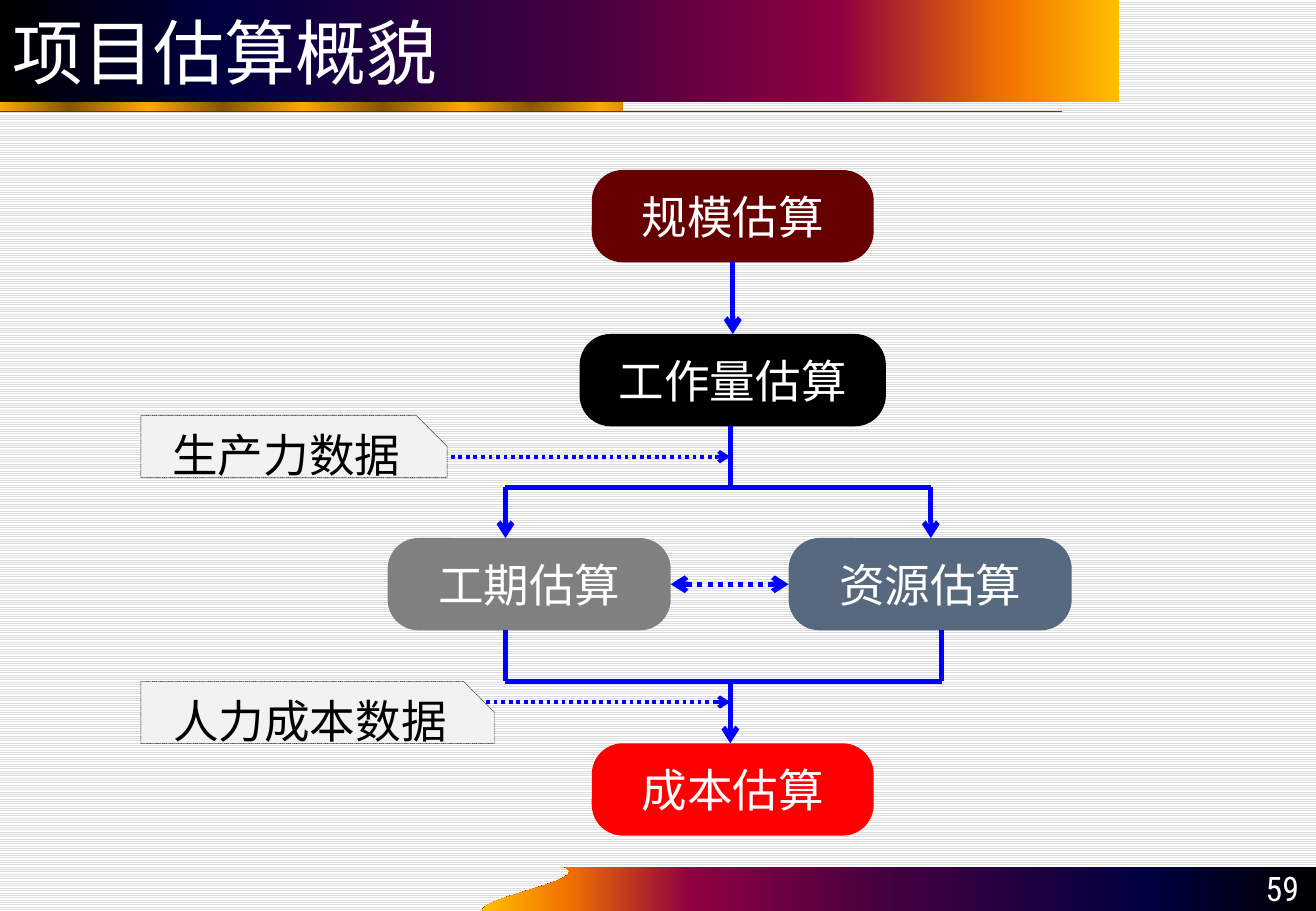
"""Builds the project estimation overview slide."""
from copy import deepcopy

from lxml import etree
from pptx import Presentation
from pptx.dml.color import RGBColor
from pptx.enum.dml import MSO_LINE, MSO_PATTERN
from pptx.enum.shapes import MSO_CONNECTOR, MSO_SHAPE
from pptx.enum.text import MSO_ANCHOR, MSO_AUTO_SIZE, PP_ALIGN
from pptx.oxml.ns import qn
from pptx.util import Inches, Pt

WHITE = RGBColor(0xFF, 0xFF, 0xFF)
BLACK = RGBColor(0, 0, 0)
STRIPE_GRAY = RGBColor(0xDD, 0xDD, 0xDD)
NOTE_GRAY = RGBColor(0xF2, 0xF2, 0xF2)
BLUE = RGBColor(0, 0, 0xFF)
RULE_RED = RGBColor(0xCC, 0, 0)
RED = RGBColor(0xFF, 0, 0)
MAROON = RGBColor(0x66, 0, 0)
GRAY = RGBColor(0x80, 0x80, 0x80)
SLATE = RGBColor(0x57, 0x69, 0x7E)
NAVY = RGBColor(0, 0, 0x40)
PLUM = RGBColor(0x40, 0, 0x40)
CRIMSON = RGBColor(0x8F, 0, 0x40)
ORANGE = RGBColor(0xF2, 0x73, 0)
AMBER = RGBColor(0xFF, 0xBF, 0)
GOLD = RGBColor(0xFF, 0xA8, 0)
BROWN = RGBColor(0x82, 0x56, 0)

SUNSET = [(0, BLACK), (20, NAVY), (50, PLUM), (75, CRIMSON), (90, ORANGE), (100, AMBER)]
BRONZE = [(pos, GOLD if i % 2 else BROWN)
          for i, pos in enumerate((0, 13, 28, 43, 58, 72, 87, 100))]
CJK = "Noto Sans CJK SC"
SOLID, DOTTED = None, MSO_LINE.ROUND_DOT
LEFT, CENTER, RIGHT = PP_ALIGN.LEFT, PP_ALIGN.CENTER, PP_ALIGN.RIGHT
MIDDLE, BOTTOM = MSO_ANCHOR.MIDDLE, MSO_ANCHOR.BOTTOM
ROUNDED, SNIPPED = MSO_SHAPE.ROUNDED_RECTANGLE, MSO_SHAPE.SNIP_1_RECTANGLE
STRAIGHT = MSO_CONNECTOR.STRAIGHT


def set_gradient(sp, stops, angle):
    sp.fill.gradient()
    sp.fill.gradient_angle = angle
    gs_lst = sp._element.spPr.find(".//" + qn("a:gsLst"))
    for gs in list(gs_lst):
        gs_lst.remove(gs)
    for pos, color in stops:
        gs = etree.SubElement(gs_lst, qn("a:gs"), pos=str(pos * 1000))
        etree.SubElement(gs, qn("a:srgbClr"), val=str(color))


def set_text(sp, text, size, font, color, align, anchor):
    tf = sp.text_frame
    tf.word_wrap = True
    tf.auto_size = MSO_AUTO_SIZE.NONE
    tf.vertical_anchor = anchor
    p = tf.paragraphs[0]
    p.alignment = align
    r = p.add_run()
    r.text = text
    for name, value in {"size": Pt(size), "name": font}.items():
        setattr(r.font, name, value)
    r.font.color.rgb = color
    etree.SubElement(r._r.get_or_add_rPr(), qn("a:ea"), typeface=font)


prs = Presentation()
prs.slide_width, prs.slide_height = Inches(10.83), Inches(7.5)
s = prs.slides.add_slide(prs.slide_layouts[5])
bg = s.background.fill
bg.patterned()
bg.pattern = MSO_PATTERN.LIGHT_HORIZONTAL
bg.fore_color.rgb = STRIPE_GRAY
bg.back_color.rgb = WHITE

title = s.shapes.title
title.left, title.top, title.width, title.height = 0, 0, Inches(9.21), Inches(0.84)
set_gradient(title, SUNSET, 0)
set_text(title, "项目估算概貌", 42, "DejaVu Sans", WHITE, LEFT, MIDDLE)

curve = [(3.97, 7.5), (3.97, 7.38), (4.87, 7.25), (4.65, 7.14)]
steps = 24
outline = [(10.83, 7.14), (10.83, 7.5)]
for i in range(steps + 1):
    t = i / steps
    weights = [(1 - t) ** 3, 3 * t * (1 - t) ** 2, 3 * t ** 2 * (1 - t), t ** 3]
    outline.append(tuple(sum(w * pt[axis] for w, pt in zip(weights, curve)) for axis in (0, 1)))
builder = s.shapes.build_freeform(Inches(4.65), Inches(7.14), scale=1.0)
builder.add_line_segments([(Inches(x), Inches(y)) for x, y in outline], close=True)
footer = builder.convert_to_shape()
set_gradient(footer, SUNSET, 180)
footer.line.fill.background()

rule_y = Inches(0.92)
builder = s.shapes.build_freeform(0, rule_y, scale=1.0)
builder.add_line_segments([(Inches(x), Inches(y)) for x, y in
                           [(5.12, 0.92), (5.12, 0.76), (0, 0.76)]], close=True)
builder.move_to(0, rule_y)
builder.add_line_segments([(Inches(8.74), rule_y)], close=False)
stripe = builder.convert_to_shape()
set_gradient(stripe, BRONZE, 0)
stripe.line.color.rgb = RULE_RED
stripe.line.width = Pt(0.75)

band = stripe._element.spPr.find(".//" + qn("a:path"))
rule = deepcopy(band)
band.addnext(rule)
band.set("stroke", "0")
rule.set("fill", "none")
band_parts = 5
for part in list(band)[band_parts:]:
    band.remove(part)
for part in list(rule)[:band_parts]:
    rule.remove(part)

lin = stripe._element.spPr.find(".//" + qn("a:lin"))
radial = etree.Element(qn("a:path"), path="circle")
etree.SubElement(radial, qn("a:fillToRect"), l="50000", t="50000", r="50000", b="50000")
lin.getparent().replace(lin, radial)

for sp in (footer, stripe):
    sp.shadow.inherit = False
    title._element.addprevious(sp._element)

number = s.shapes.add_textbox(Inches(9.83), Inches(7.13), Inches(0.96), Inches(0.37))
set_text(number, "59", 20, "Roboto Condensed", WHITE, RIGHT, BOTTOM)
number.text_frame.margin_bottom = Inches(0.02)

boxes = {}
for text, x, y, w, color in [
    ("规模估算", 4.87, 1.4, 2.32, MAROON),
    ("工作量估算", 4.77, 2.75, 2.52, BLACK),
    ("工期估算", 3.19, 4.43, 2.33, GRAY),
    ("资源估算", 6.49, 4.43, 2.33, SLATE),
    ("成本估算", 4.87, 6.12, 2.32, RED),
    ("生产力数据", 1.16, 3.42, 2.52, NOTE_GRAY),
    ("人力成本数据", 1.16, 5.61, 2.91, NOTE_GRAY),
]:
    note = color == NOTE_GRAY
    sp = s.shapes.add_shape(SNIPPED if note else ROUNDED, Inches(x), Inches(y),
                            Inches(w), Inches(0.51 if note else 0.76))
    sp.adjustments[0] = 0.5 if note else 0.335
    sp.shadow.inherit = False
    sp.fill.solid()
    sp.fill.fore_color.rgb = color
    if note:
        sp.line.color.rgb = BLACK
        sp.line.width = Pt(0.25)
        sp.line.dash_style = DOTTED
    else:
        sp.line.fill.background()
    set_text(sp, text, 27, CJK, BLACK if note else WHITE, CENTER, MIDDLE)
    boxes[text] = sp

joins = {
    "size to effort": (("规模估算", 2), ("工作量估算", 0)),
    "time and staff": (("工期估算", 3), ("资源估算", 1)),
}
for name, x1, y1, x2, y2, width, dash, ends in [
    ("productivity", 3.71, 3.76, 6.01, 3.76, 2.25, DOTTED, ("tailEnd",)),
    ("labour cost", 4, 5.78, 6.01, 5.78, 2.25, DOTTED, ("tailEnd",)),
    ("size to effort", 6.03, 2.16, 6.03, 2.75, 3, SOLID, ("tailEnd",)),
    ("effort trunk", 6.01, 3.51, 6.01, 4.01, 3, SOLID, ()),
    ("split bar", 7.66, 4.01, 4.16, 4.01, 3, SOLID, ()),
    ("to time", 4.16, 4.01, 4.16, 4.43, 3, SOLID, ("tailEnd",)),
    ("to staff", 7.66, 4.01, 7.66, 4.43, 3, SOLID, ("tailEnd",)),
    ("time and staff", 5.52, 4.81, 6.49, 4.81, 3, DOTTED, ("headEnd", "tailEnd")),
    ("from time", 4.16, 5.19, 4.16, 5.61, 3, SOLID, ()),
    ("from staff", 7.75, 5.19, 7.75, 5.61, 3, SOLID, ()),
    ("merge bar", 7.75, 5.61, 4.16, 5.61, 3, SOLID, ()),
    ("to cost", 6.01, 5.61, 6.01, 6.12, 3, SOLID, ("tailEnd",)),
]:
    c = s.shapes.add_connector(STRAIGHT, Inches(x1), Inches(y1), Inches(x2), Inches(y2))
    if name in joins:
        (start, start_site), (end, end_site) = joins[name]
        c.begin_connect(boxes[start], start_site)
        c.end_connect(boxes[end], end_site)
    c.line.color.rgb = BLUE
    c.line.width = Pt(width)
    if dash:
        c.line.dash_style = dash
    spPr = c._element.spPr
    for end in ends:
        etree.SubElement(spPr.find(qn("a:ln")), qn("a:" + end), type="arrow")
    etree.SubElement(spPr, qn("a:effectLst"))

prs.save("out.pptx")
